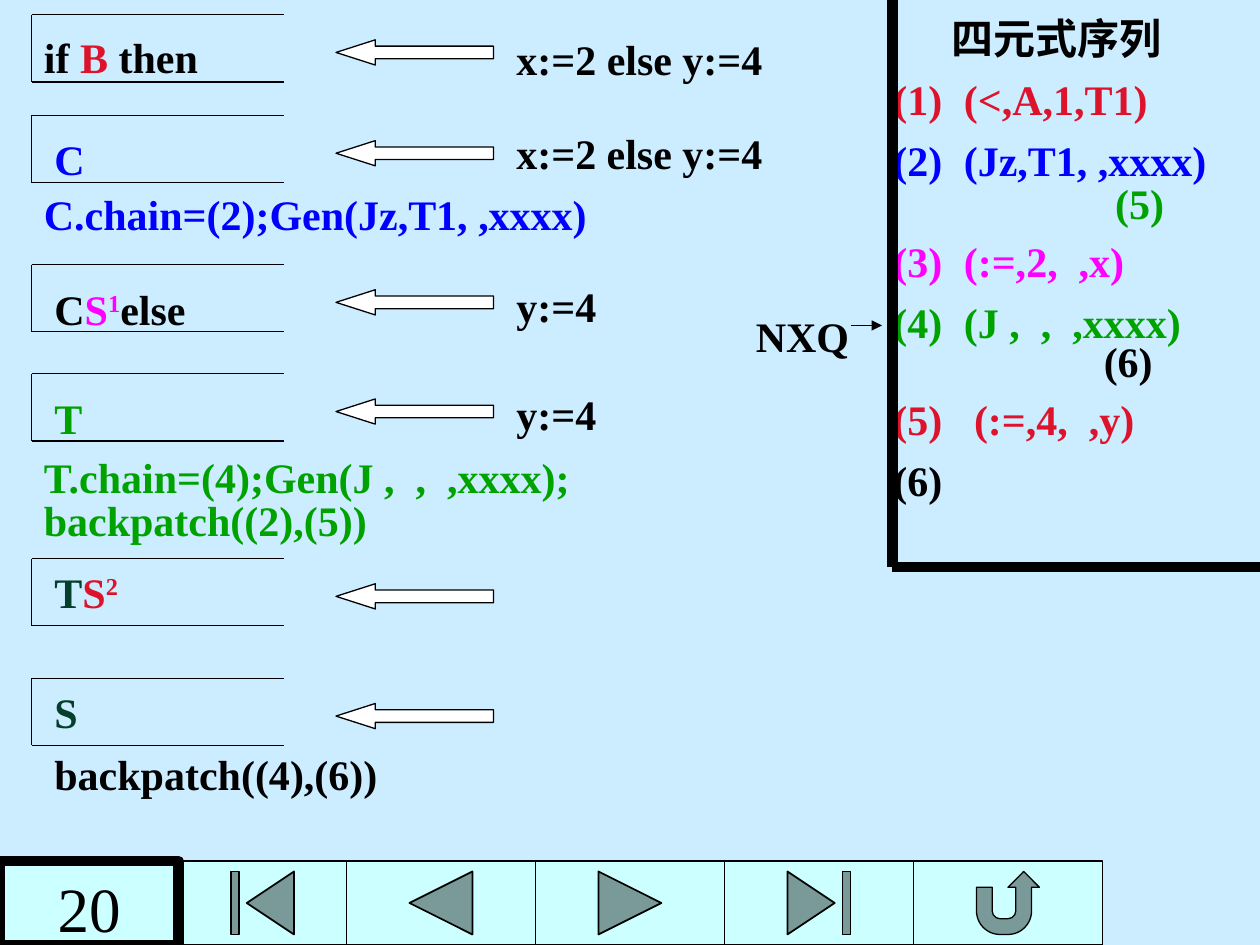
from lxml.etree import SubElement
from pptx import Presentation
from pptx.dml.color import RGBColor
from pptx.enum.shapes import MSO_CONNECTOR, MSO_SHAPE
from pptx.enum.text import MSO_ANCHOR, MSO_AUTO_SIZE, PP_ALIGN
from pptx.oxml.ns import qn
from pptx.util import Inches, Pt

BLACK = RGBColor(0x00, 0x00, 0x00)
WHITE = RGBColor(0xFF, 0xFF, 0xFF)
SKY = RGBColor(0xCC, 0xEC, 0xFF)
AQUA = RGBColor(0xCC, 0xFF, 0xFF)
RED = RGBColor(0xDD, 0x13, 0x2B)
BLUE = RGBColor(0x00, 0x00, 0xFF)
GREEN = RGBColor(0x00, 0xA2, 0x00)
PINK = RGBColor(0xFF, 0x00, 0xFF)
PINE = RGBColor(0x03, 0x3F, 0x2A)

COLUMNS, ROWS = 120, 90


class Page:
    """Holds the style and the slide; lengths are grid columns and rows."""

    font_name = "Times New Roman"
    font_size = 24
    space_before = 6

    def __init__(self, deck):
        self.slide = deck.slides.add_slide(deck.slide_layouts[6])
        self.column = deck.slide_width / COLUMNS
        self.row = deck.slide_height / ROWS
        background = self.slide.background.fill
        background.solid()
        background.fore_color.rgb = SKY

    def place(self, *lengths):
        units = (self.column, self.row) * 2
        return [round(length * unit) for length, unit in zip(lengths, units)]

    def add_span(self, para, text, color, raised=False, size=None, bold=True):
        span = para.add_run()
        span.text = text
        span.font.name = self.font_name
        span.font.size = Pt(size or self.font_size)
        span.font.bold = bold
        span.font.color.rgb = color
        if raised:
            span._r.get_or_add_rPr().set("baseline", "30000")

    def text(self, left, top, width, height, *lines):
        """Each line is (spans, options): spacing, indent and tab in inches."""
        box = self.slide.shapes.add_textbox(*self.place(left, top, width, height))
        frame = box.text_frame
        frame.word_wrap = False
        frame.auto_size = MSO_AUTO_SIZE.SHAPE_TO_FIT_TEXT
        frame.margin_top, frame.margin_bottom = Inches(0.08), Inches(0.03)
        for index, (spans, options) in enumerate(lines):
            para = frame.add_paragraph() if index else frame.paragraphs[0]
            properties = para._p.get_or_add_pPr()
            if "indent" in options:
                properties.set("marL", str(Inches(options["indent"])))
                properties.set("indent", "0")
            if "tab" in options:
                tabs = SubElement(properties, qn("a:tabLst"))
                SubElement(tabs, qn("a:tab"), pos=str(Inches(options["tab"])), algn="l")
            if index:
                para.space_before = Pt(self.space_before)
            if "spacing" in options:
                para.line_spacing = options["spacing"]
            for span in spans:
                self.add_span(para, *span)

    def line(self, x1, y1, x2, y2, weight=0.75, arrow=False):
        line = self.slide.shapes.add_connector(
            MSO_CONNECTOR.STRAIGHT, *self.place(x1, y1, x2, y2))
        line.line.color.rgb = BLACK
        line.line.width = Pt(weight)
        if arrow:
            SubElement(line.line._get_or_add_ln(), qn("a:tailEnd"), type="triangle")
        SubElement(line._element.spPr, qn("a:effectLst"))

    def shape(self, kind, left, top, width, height, fill, weight):
        shape = self.slide.shapes.add_shape(kind, *self.place(left, top, width, height))
        shape.shadow.inherit = False
        shape.fill.solid()
        shape.fill.fore_color.rgb = fill
        shape.line.color.rgb = BLACK
        shape.line.width = Pt(weight)
        return shape

    def stack_entry(self, top):
        """An open-ended stack bracket and the input arrow beside it."""
        left, right, bottom = 3, 27, top + 6.4
        self.line(left, top, right, top)
        self.line(left, top, left, bottom)
        self.line(left, bottom, right, bottom)
        arrow = self.shape(MSO_SHAPE.LEFT_ARROW, 32, top + 2.4, 15, 2.4, WHITE, 0.75)
        arrow.adjustments[1] = 1.56

    def page_number(self, number, left, top, width, height):
        box = self.shape(MSO_SHAPE.RECTANGLE, left, top, width, height, AQUA, 6)
        frame = box.text_frame
        frame.vertical_anchor = MSO_ANCHOR.BOTTOM
        frame.margin_bottom = 0
        para = frame.paragraphs[0]
        para.alignment = PP_ALIGN.CENTER
        self.add_span(para, number, BLACK, size=36, bold=False)


def main():
    deck = Presentation()
    deck.slide_width, deck.slide_height = Inches(10), Inches(7.5)
    page = Page(deck)

    # Navigation buttons
    bar_top, bar_height = 82, 8
    left = 17
    for kind, width, weight in (
        (MSO_SHAPE.ACTION_BUTTON_BEGINNING, 16, 1),
        (MSO_SHAPE.ACTION_BUTTON_BACK_OR_PREVIOUS, 18, 1),
        (MSO_SHAPE.ACTION_BUTTON_FORWARD_OR_NEXT, 18, 1),
        (MSO_SHAPE.ACTION_BUTTON_END, 18, 1),
        (MSO_SHAPE.ACTION_BUTTON_RETURN, 18, 0.75),
    ):
        page.shape(kind, left, bar_top, width, bar_height, AQUA, weight)
        left += width

    # Parsing stack
    for top in (1.4, 11, 25.2, 35.6, 53.2, 64.6):
        page.stack_entry(top)

    # Stack contents, remaining input and semantic actions
    for left, top, width, spans in (
        (3, 2, 17.2, [("if ", BLACK), ("B", RED), (" then", BLACK)]),
        (4, 11.8, 6.4, [("C", BLUE)]),
        (4, 26, 15, [("C", BLACK), ("S", PINK), ("1", PINK, True), ("else", BLACK)]),
        (4, 36.4, 5.2, [("T", GREEN)]),
        (4, 53, 8.5, [("T", PINE), ("S", RED), ("2", RED, True)]),
        (4, 64.4, 4.7, [("S", PINE)]),
        (48, 2.2, 28, [("x:=2 else y:=4", BLACK)]),
        (48, 11.2, 26.9, [("x:=2 else y:=4", BLACK)]),
        (48, 25.8, 12.1, [("y:=4", BLACK)]),
        (48, 36, 12.1, [("y:=4", BLACK)]),
        (3, 17, 54.2, [("C.chain=(2);Gen(Jz,T1, ,xxxx)", BLUE)]),
        (70.8, 28.6, 11.4, [("NXQ", BLACK)]),
    ):
        page.text(left, top, width, 6, (spans, {}))
    page.text(3, 42, 52.8, 10,
              ([("T.chain=(4);Gen(J ,  ,  ,xxxx);", GREEN)], {}),
              ([("backpatch((2),(5))", GREEN)], {"spacing": 0.6}))
    page.text(4, 72, 33.2, 4.1,
              ([("backpatch((4),(6))", BLACK)], {"spacing": 0.6}))

    # Quadruple list
    page.text(83.9, 0.2, 34.4, 48.1,
              ([("四元式序列", BLACK)], {"indent": 0.46}),
              ([("(1)\t(<,A,1,T1)", RED)], {"tab": 0.56}),
              ([("(2)\t(Jz,T1, ,xxxx)", BLUE)], {"tab": 0.56}),
              ([("(5)", GREEN)], {"indent": 1.76, "spacing": 0.6}),
              ([("(3)\t(:=,2,  ,x)", PINK)], {"tab": 0.56}),
              ([("(4)\t(J ,  ,  ,xxxx)", GREEN)], {"tab": 0.56}),
              ([("(6)", BLACK)], {"indent": 1.67, "spacing": 0.5}),
              ([("(5)\t(:=,4,  ,y)", RED)], {"tab": 0.64}),
              ([("(6)", BLACK)], {}))
    page.line(85, 0, 85, 54, weight=6)
    page.line(85, 54, COLUMNS, 54, weight=6)
    page.line(81, 31, 84, 31, arrow=True)

    page.page_number("20", 0, bar_top, 17, bar_height)
    deck.save("out.pptx")


if __name__ == "__main__":
    main()
